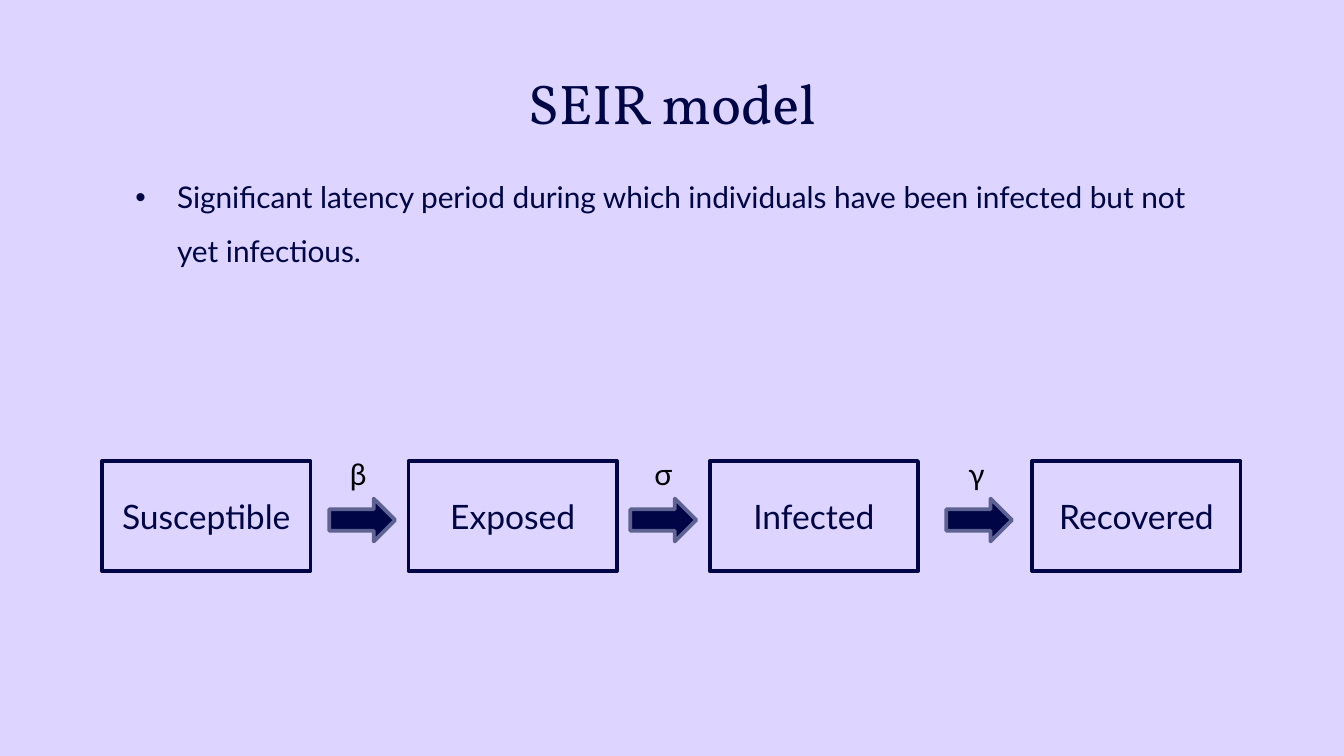
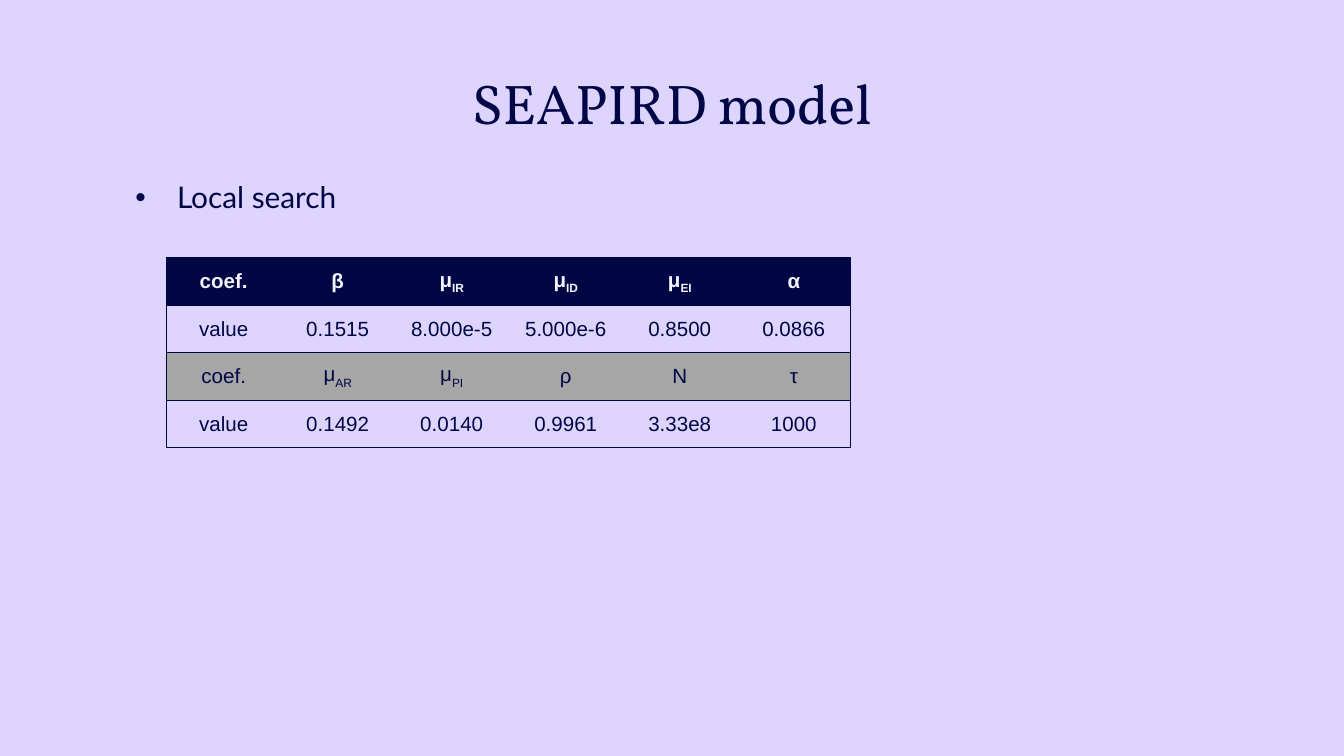
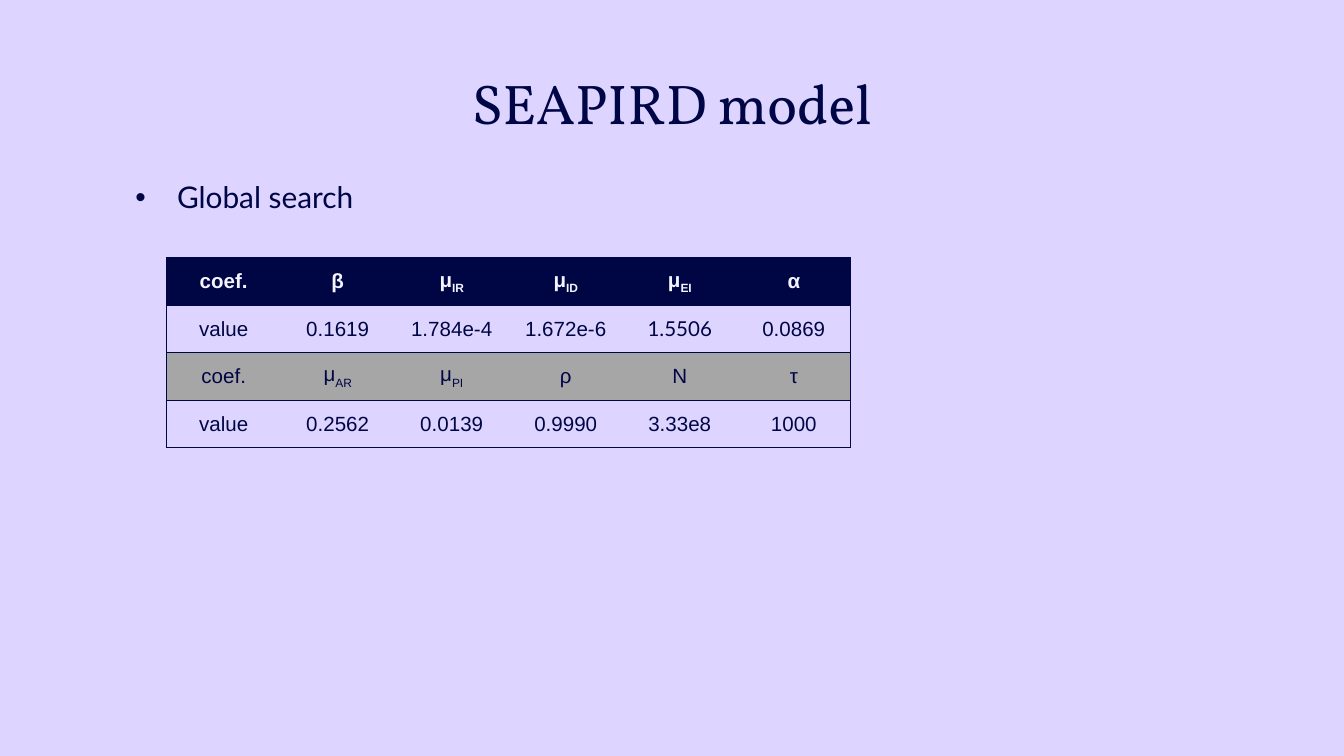
import pptx
import pptx.util
import pptx.dml.color
import pptx.enum.shapes
import pptx.enum.text
import pptx.oxml
import pptx.oxml.ns
import lxml.etree

Pt = pptx.util.Pt
KIND = pptx.enum.shapes.MSO_SHAPE
ALIGN = pptx.enum.text.PP_ALIGN
ANCHOR = pptx.enum.text.MSO_ANCHOR
A = pptx.oxml.ns.nsdecls("a")

# Shared colours and fonts
NAVY, EDGE, LILAC = "000546", "000544", "DDD5FF"
PALE, GREY, SLATE, BLACK = "F3F4FF", "A6A6A6", "5E6293", "000000"
HEAD, BODY, GRID = "Vollkorn", "Lato", "Arial"


def rgb(code):
    return pptx.dml.color.RGBColor.from_string(code)


def write(frame, text, face, size, color, align=ALIGN.CENTER, bold=False):
    """Fill a frame with one paragraph; an underscore starts a subscript."""
    par = frame.paragraphs[0]
    base, _, sub = text.partition("_")
    par.add_run().text = base
    if sub:
        low = par.add_run()
        low.text = sub
        low._r.get_or_add_rPr().set("baseline", "-25000")
    par.alignment = align
    par.font.name = face
    par.font.size = Pt(size)
    par.font.bold = bold
    par.font.color.rgb = rgb(color)
    return par


# Deck
deck = pptx.Presentation()
deck.slide_width, deck.slide_height = Pt(720), Pt(405)
back = deck.slide_master.background.fill
back.solid()
back.fore_color.rgb = rgb(LILAC)

pages = [
    ("SEIR model", "Significant latency period during which individuals "
                   "have been infected but not yet infectious."),
    ("SEAPIRD model", "Local search"),
    ("SEAPIRD model", "Global search"),
]

# Title and bullet of every slide
slides = []
for name, point in pages:
    slide = deck.slides.add_slide(deck.slide_layouts[5])
    slides.append(slide)

    title = slide.shapes.title
    title.left, title.top = Pt(62.6), Pt(29.5)
    title.width, title.height = Pt(594.8), Pt(38.2)
    note = slide.shapes.add_textbox(Pt(54), Pt(79.2), Pt(612), Pt(283.7))
    for box in (title, note):
        frame = box.text_frame
        frame.word_wrap = True
        frame.auto_size = pptx.enum.text.MSO_AUTO_SIZE.NONE
        frame.vertical_anchor = ANCHOR.TOP
        frame.margin_left = frame.margin_right = Pt(7.2)
        frame.margin_top = frame.margin_bottom = Pt(7.2)
    write(title.text_frame, name, HEAD, 30, NAVY)

    par = note.text_frame.paragraphs[0]
    props = par._p.get_or_add_pPr()
    props.set("marL", str(Pt(33.8)))
    props.set("indent", str(Pt(-22.3)))
    par.line_spacing = 1.5
    for mark in (f'<a:buClr {A}><a:srgbClr val="{NAVY}"/></a:buClr>',
                 f'<a:buFont {A} typeface="Arial"/>',
                 f'<a:buChar {A} char="•"/>'):
        props.append(pptx.oxml.parse_xml(mark))
    write(note.text_frame, point, BODY, 16, NAVY, ALIGN.LEFT)

# Flow of the SEIR states
flow = slides[0].shapes.add_group_shape().shapes
states = [("Susceptible", 54.7), ("Exposed", 218.9),
          ("Infected", 380.2), ("Recovered", 553)]
rates = [("β", 176.4, 169.2), ("σ", 337.7, 332.6), ("γ", 506.9, 500.4)]

for state, left in states:
    box = flow.add_shape(KIND.RECTANGLE, Pt(left), Pt(247), Pt(111.6), Pt(59))
    box.shadow.inherit = False
    box.fill.background()
    box.line.color.rgb = rgb(NAVY)
    box.line.width = Pt(2)
    box.text_frame.vertical_anchor = ANCHOR.MIDDLE
    write(box.text_frame, state, BODY, 18, NAVY)

for rate, left, side in rates:
    arrow = flow.add_shape(KIND.RIGHT_ARROW, Pt(left), Pt(267.1), Pt(35.3), Pt(23))
    arrow.shadow.inherit = False
    arrow.fill.solid()
    arrow.fill.fore_color.rgb = rgb(NAVY)
    arrow.line.color.rgb = rgb(SLATE)
    arrow.line.width = Pt(2)
    label = flow.add_textbox(Pt(side), Pt(240.5), Pt(45.4), Pt(26.6))
    label.text_frame.word_wrap = True
    write(label.text_frame, rate, BODY, 16, BLACK)

# Coefficient tables of the two searches
upper = "coef. β μ_IR μ_ID μ_EI α".split()
lower = "coef. μ_AR μ_PI ρ N τ".split()
finds = [
    ("value 0.1515 8.000e-5 5.000e-6 0.8500 0.0866",
     "value 0.1492 0.0140 0.9961 3.33e8 1000"),
    ("value 0.1619 1.784e-4 1.672e-6 1.5506 0.0869",
     "value 0.2562 0.0139 0.9990 3.33e8 1000"),
]
fills = [EDGE, None, GREY, None]

for slide, (first, second) in zip(slides[1:], finds):
    rows = [upper, first.split(), lower, second.split()]
    wide = len(upper)
    grid = slide.shapes.add_table(len(rows), wide, Pt(89.3), Pt(138.2),
                                  Pt(366.6), Pt(101.6)).table
    for col in grid.columns:
        col.width = Pt(61.1)
    for r, row in enumerate(rows):
        grid.rows[r].height = Pt(25.4)
        for c, text in enumerate(row):
            cell = grid.cell(r, c)
            cell.vertical_anchor = ANCHOR.MIDDLE
            props = cell._tc.get_or_add_tcPr()
            # Rules run along each row and round the outside
            sides = {"L": c == 0, "R": c == wide - 1, "T": True, "B": True}
            for side, drawn in sides.items():
                paint = (f'<a:solidFill><a:srgbClr val="{EDGE}"/></a:solidFill>'
                         if drawn else "<a:noFill/>")
                props.append(pptx.oxml.parse_xml(
                    f'<a:ln{side} {A} w="{Pt(0.75)}">{paint}</a:ln{side}>'))
            if fills[r]:
                cell.fill.solid()
                cell.fill.fore_color.rgb = rgb(fills[r])
            else:
                cell.fill.background()
            face = BODY if text == "1.5506" else GRID
            write(cell.text_frame, text, face, 11,
                  PALE if r == 0 else NAVY, bold=r == 0)

deck.save("out.pptx")
